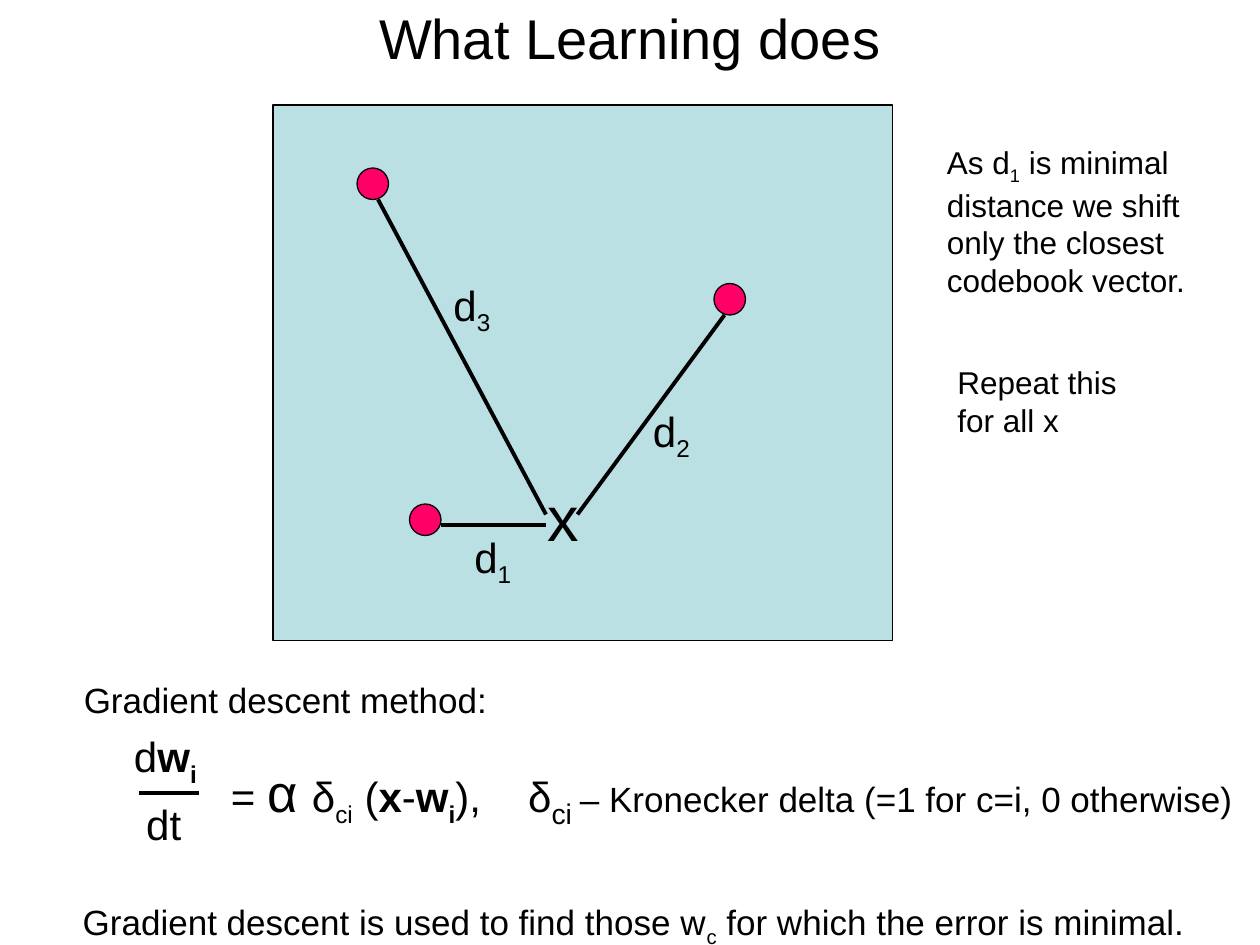
from lxml import etree
from pptx import Presentation
from pptx.dml.color import RGBColor
from pptx.enum.shapes import MSO_CONNECTOR, MSO_SHAPE
from pptx.enum.text import MSO_ANCHOR, MSO_AUTO_SIZE, PP_ALIGN
from pptx.oxml.ns import qn
from pptx.util import Inches, Pt

RECTANGLE, OVAL = MSO_SHAPE.RECTANGLE, MSO_SHAPE.OVAL
STRAIGHT = MSO_CONNECTOR.STRAIGHT
LEFT, CENTER = PP_ALIGN.LEFT, PP_ALIGN.CENTER
MIDDLE = MSO_ANCHOR.MIDDLE
FIT_SHAPE = MSO_AUTO_SIZE.SHAPE_TO_FIT_TEXT
COLUMNS, ROWS = 120, 90
FONT = "Arial"
COLORS = {"ink": "000000", "space": "BBE0E3", "codebook": "FF0066"}
BOLD, SUB, BOLD_SUB = {"bold": True}, {"sub": True}, {"bold": True, "sub": True}


def grid(*cells):
    """Turn grid counts of a twelfth of an inch into lengths."""
    return [Inches(cell / 12) for cell in cells]


def color(name):
    """Look up a named colour."""
    return RGBColor.from_string(COLORS[name])


def add_outlined(slide, kind, cells, fill):
    """Add a filled shape with a thin outline."""
    shape = slide.shapes.add_shape(kind, *grid(*cells))
    shape.shadow.inherit = False
    shape.fill.solid()
    shape.fill.fore_color.rgb = color(fill)
    shape.line.color.rgb = color("ink")
    shape.line.width = Pt(0.75)


def add_line(slide, *cells):
    """Add a straight line between two grid points."""
    line = slide.shapes.add_connector(STRAIGHT, *grid(*cells))
    line.line.color.rgb = color("ink")
    line.line.width = Pt(2.25)
    etree.SubElement(line._element.spPr, qn("a:effectLst"))


def add_run(paragraph, text, bold=False, sub=False, size=None):
    """Add a run with optional weight, subscript and size."""
    run = paragraph.add_run()
    run.text = text
    if bold:
        run.font.bold = True
    if size:
        run.font.size = Pt(size)
    if sub:
        run._r.get_or_add_rPr().set("baseline", "-25000")


def add_tab_stop(paragraph, position):
    """Set one left tab stop in a paragraph."""
    stops = etree.SubElement(paragraph._p.get_or_add_pPr(), qn("a:tabLst"))
    etree.SubElement(stops, qn("a:tab"), pos=str(Inches(position)), algn="l")


def add_text(slide, cells, size, lines, align=LEFT, wrap=True, tab=None):
    """Add a text box whose lines are lists of (text, options) runs."""
    box = slide.shapes.add_textbox(*grid(*cells))
    frame = box.text_frame
    frame.word_wrap = wrap
    frame.auto_size = FIT_SHAPE
    for index, runs in enumerate(lines):
        paragraph = frame.add_paragraph() if index else frame.paragraphs[0]
        paragraph.alignment = align
        if tab:
            add_tab_stop(paragraph, tab)
        paragraph.font.name = FONT
        paragraph.font.size = Pt(size)
        paragraph.font.color.rgb = color("ink")
        for text, options in runs:
            add_run(paragraph, text, **options)
    return frame


def add_diagram(slide):
    """Draw the input x and its distances to the codebook vectors."""
    add_outlined(slide, RECTANGLE, (26, 10, 59, 51), "space")
    for column, row in ((39, 48), (68, 27), (34, 16)):
        add_outlined(slide, OVAL, (column, row, 3, 3), "codebook")
    add_text(slide, (51, 45, 5.4, 8.4), 36, [[("x", {})]], wrap=False)
    for ends in ((52, 50, 42, 50), (52, 49, 36, 19), (55, 49, 69, 30)):
        add_line(slide, *ends)
    for number, (column, row) in enumerate(((44, 50), (61, 38), (42, 26)), 1):
        runs = [("d", {}), (str(number), SUB)]
        add_text(slide, (column, row, 6.1, 6), 24, [runs], wrap=False)


def add_notes_beside(slide):
    """Add the remarks to the right of the diagram."""
    add_text(slide, (89, 13, 25.2, 15.6), 18, [
        [("As d", {}), ("1", SUB), (" is minimal", {})],
        [("distance we shift", {})],
        [("only the closest", {})],
        [("codebook vector.", {})],
    ], wrap=False)
    add_text(slide, (90, 34, 20.2, 8.4), 18, [[("Repeat this for all x", {})]])


def add_gradient_descent(slide):
    """Add the learning rule and the lines around it."""
    add_text(slide, (6.8, 64, 110, 5.2), 20, [[("Gradient descent method:", {})]])
    add_text(slide, (20.8, 71.8, 99.2, 7.2), 24, [[
        ("= ", {}), ("α ", {"size": 30}), ("δ", {}), ("ci", SUB), (" (", {}),
        ("x", BOLD), ("-", {}), ("w", BOLD), ("i", BOLD_SUB), ("),\tδ", {}),
        ("ci ", {"sub": True, "size": 28}),
        ("– Kronecker delta (=1 for c=i, 0 otherwise)", {"size": 20}),
    ]], tab=2.36)
    numerator = [("d", {}), ("w", BOLD), ("i", BOLD_SUB)]
    add_text(slide, (11.5, 69, 8.5, 6), 24, [numerator], CENTER, wrap=False)
    add_text(slide, (12.7, 75.5, 5.8, 6), 24, [[("dt", {})]], CENTER, wrap=False)
    add_line(slide, 13.2, 75.5, 19, 75.5)
    add_text(slide, (6.7, 85.2, 109.7, 5.2), 20, [[
        ("Gradient descent is used to find those w", {}), ("c", SUB),
        (" for which the error is minimal.", {}),
    ]])


def main():
    """Build and save the slide."""
    presentation = Presentation()
    presentation.slide_width, presentation.slide_height = grid(COLUMNS, ROWS)
    slide = presentation.slides.add_slide(presentation.slide_layouts[6])
    title = add_text(slide, (6, -4, 108, 15), 32, [[("What Learning does", {})]], CENTER)
    title.auto_size = MSO_AUTO_SIZE.NONE
    title.vertical_anchor = MIDDLE
    add_diagram(slide)
    add_notes_beside(slide)
    add_gradient_descent(slide)
    presentation.save("out.pptx")


if __name__ == "__main__":
    main()
